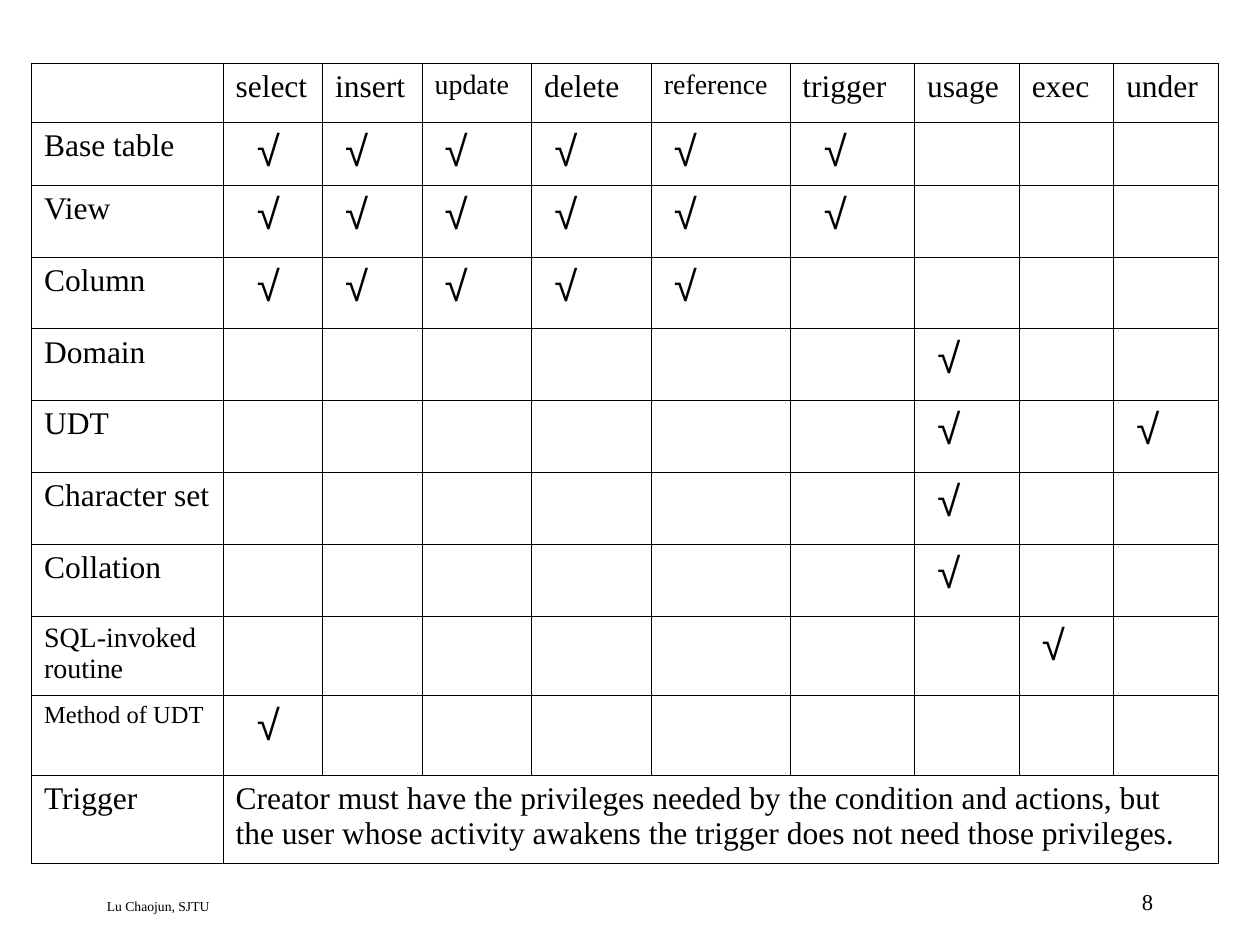
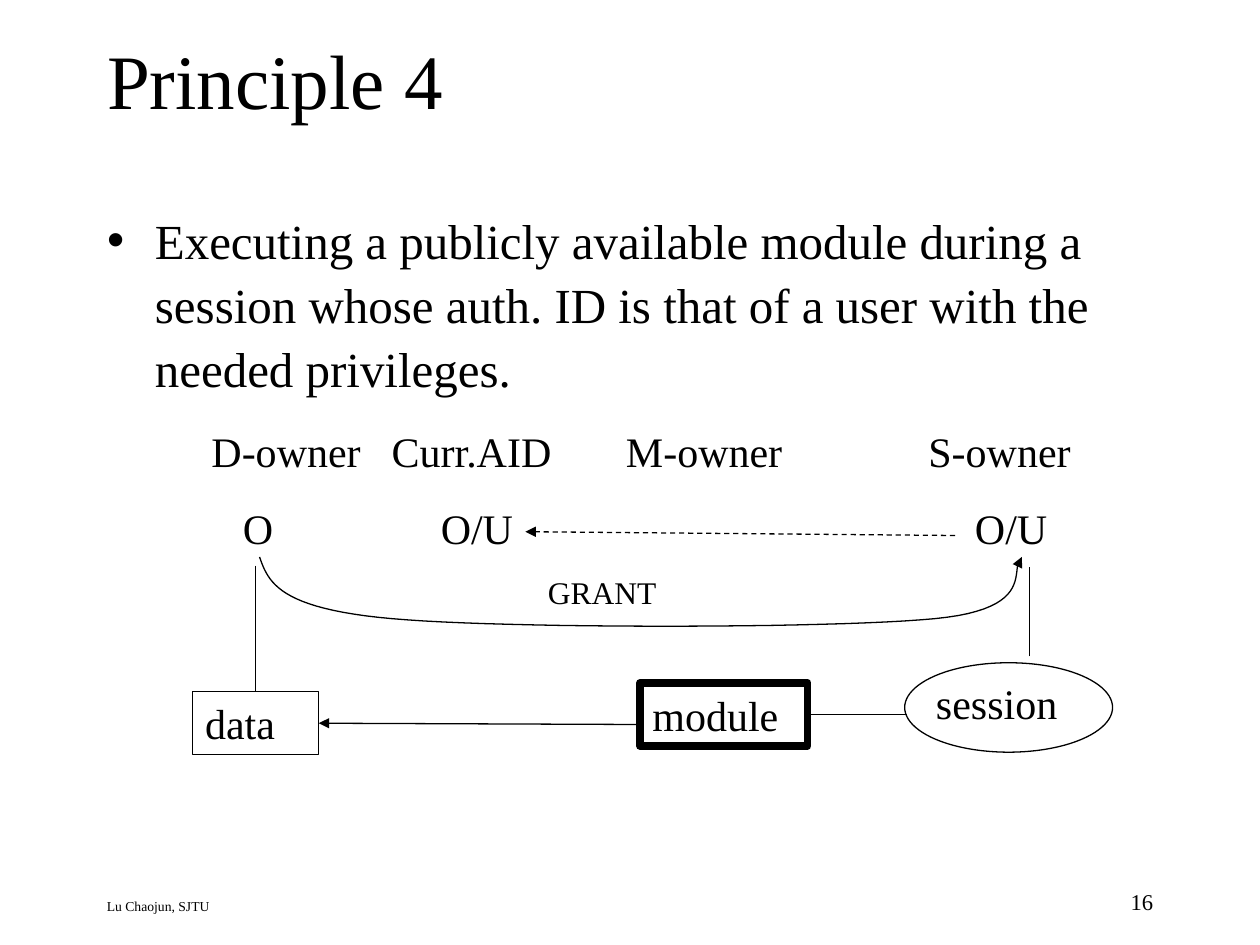
from lxml.etree import SubElement
from pptx import Presentation
from pptx.dml.color import RGBColor
from pptx.enum.dml import MSO_LINE
from pptx.enum.shapes import MSO_CONNECTOR, MSO_SHAPE
from pptx.enum.text import MSO_ANCHOR, PP_ALIGN
from pptx.oxml.ns import qn
from pptx.util import Inches, Pt

COLORS = {"ink": "000000", "paper": "FFFFFF"}
SERIF = "Times New Roman"
SANS = "Arial"
CHECK = "√"
FOOTER = "Lu Chaojun, SJTU"

PRIVILEGES = ["select", "insert", "update", "delete", "reference",
              "trigger", "usage", "exec", "under"]
TABLE_PRIVILEGES = PRIVILEGES[:6]
OBJECTS = [
    ("Base table", TABLE_PRIVILEGES),
    ("View", TABLE_PRIVILEGES),
    ("Column", PRIVILEGES[:5]),
    ("Domain", ["usage"]),
    ("UDT", ["usage", "under"]),
    ("Character set", ["usage"]),
    ("Collation", ["usage"]),
    ("SQL-invoked routine", ["exec"]),
    ("Method of UDT", ["select"]),
]
TRIGGER_RULE = ("Creator must have the privileges needed by the condition and actions, "
                "but the user whose activity awakens the trigger does not need "
                "those privileges.")
LABEL_SIZES = {"update": 16, "reference": 16, "SQL-invoked routine": 16,
               "Method of UDT": 14}
COLUMN_WIDTHS = [1.52, 0.79, 0.79, 0.87, 0.95, 1.1, 0.99, 0.83, 0.75, 0.83]
ROW_HEIGHTS = [0.47, 0.5] + [0.57] * 6 + [0.63, 0.63, 0.7]


def curve_points(start, curves, steps=24):
    points = [start]
    for first, second, end in curves:
        for step in range(1, steps + 1):
            t = step / steps
            weights = ((1 - t) ** 3, 3 * t * (1 - t) ** 2, 3 * t * t * (1 - t), t ** 3)
            corners = (start, first, second, end)
            points.append(tuple(sum(w * corner[axis] for w, corner in zip(weights, corners))
                                for axis in (0, 1)))
        start = end
    return points


class SlideWriter:
    def __init__(self, deck):
        self.deck = deck
        self.page = None

    def color(self, name):
        return RGBColor.from_string(COLORS[name])

    def new_page(self, layout, number):
        self.page = self.deck.slides.add_slide(self.deck.slide_layouts[layout])
        background = self.page.background.fill
        background.solid()
        background.fore_color.rgb = self.color("paper")
        self.text(0.75, 7.08, 5.8, 0.25, [FOOTER], 7.8)
        self.text(7.17, 7, 2.08, 0.33, [str(number)], 12.9, align=PP_ALIGN.RIGHT)

    def span(self, para, words, size, font=SERIF):
        span = para.add_run()
        span.text = words
        span.font.size = Pt(size)
        span.font.name = font
        span.font.color.rgb = self.color("ink")

    def fill_frame(self, frame, lines, size, align=PP_ALIGN.LEFT, gap=0, stops=()):
        frame.word_wrap = True
        frame.vertical_anchor = MSO_ANCHOR.TOP
        for index, words in enumerate(lines):
            para = frame.add_paragraph() if index else frame.paragraphs[0]
            para.alignment = align
            para.space_before = Pt(gap if index else 0)
            if stops:
                self.tabs(para, stops[index])
            self.span(para, words, size)

    def tabs(self, para, positions):
        tab_list = SubElement(para._p.get_or_add_pPr(), qn("a:tabLst"))
        for position in positions:
            SubElement(tab_list, qn("a:tab"), pos=str(Inches(position)), algn="l")

    def text(self, left, top, width, height, lines, size, **style):
        box = self.page.shapes.add_textbox(Inches(left), Inches(top),
                                           Inches(width), Inches(height))
        self.fill_frame(box.text_frame, lines, size, **style)

    def place(self, holder, left, top, width, height):
        holder.left, holder.top = Inches(left), Inches(top)
        holder.width, holder.height = Inches(width), Inches(height)

    def title(self, words):
        holder = self.page.shapes.title
        self.place(holder, 0.75, 0, 8.5, 1.25)
        self.fill_frame(holder.text_frame, [words], 44)
        holder.text_frame.vertical_anchor = MSO_ANCHOR.MIDDLE

    def bullet(self, words):
        holder = self.page.placeholders[1]
        self.place(holder, 0.75, 1.58, 8.5, 2.26)
        self.fill_frame(holder.text_frame, [words], 28)
        para = holder.text_frame.paragraphs[0]
        para.line_spacing = 1.09
        settings = para._p.get_or_add_pPr()
        settings.set("marL", str(Inches(0.38)))
        settings.set("indent", str(-Inches(0.38)))
        SubElement(settings, qn("a:buChar"), char="•")

    def outline(self, shape, weight=0.75, arrow=False, dashed=False):
        shape.line.color.rgb = self.color("ink")
        shape.line.width = Pt(weight)
        if dashed:
            shape.line.dash_style = MSO_LINE.DASH
        if arrow:
            SubElement(shape.element.spPr.find(qn("a:ln")), qn("a:tailEnd"), type="triangle")

    def shape(self, kind, left, top, width, height, words=None, weight=0.75):
        shape = self.page.shapes.add_shape(kind, Inches(left), Inches(top),
                                           Inches(width), Inches(height))
        shape.shadow.inherit = False
        shape.fill.background()
        self.outline(shape, weight)
        if words:
            self.fill_frame(shape.text_frame, [words], 24)

    def line(self, start, end, **style):
        line = self.page.shapes.add_connector(MSO_CONNECTOR.STRAIGHT,
                                              *map(Inches, start + end))
        self.outline(line, **style)
        SubElement(line.element.spPr, qn("a:effectLst"))

    def curved_arrow(self, start, curves):
        points = [(Inches(x), Inches(y)) for x, y in curve_points(start, curves)]
        builder = self.page.shapes.build_freeform(*points[0])
        builder.add_line_segments(points[1:], close=False)
        curve = builder.convert_to_shape()
        curve.shadow.inherit = False
        curve.fill.background()
        self.outline(curve, arrow=True)

    def table(self, left, top, widths, heights):
        frame = self.page.shapes.add_table(len(heights), len(widths), Inches(left), Inches(top),
                                           Inches(sum(widths)), Inches(sum(heights)))
        table = frame.table
        table.first_row = table.horz_banding = False
        for column, width in zip(table.columns, widths):
            column.width = Inches(width)
        for row, height in zip(table.rows, heights):
            row.height = Inches(height)
        for cell in table.iter_cells():
            self.cell_borders(cell)
            cell.fill.background()
        return table

    def cell_borders(self, cell):
        settings = cell._tc.get_or_add_tcPr()
        for side in ("lnL", "lnR", "lnT", "lnB"):
            border = SubElement(settings, qn(f"a:{side}"), w=str(Pt(0.45)))
            fill = SubElement(border, qn("a:solidFill"))
            SubElement(fill, qn("a:srgbClr"), val=COLORS["ink"])

    def cell_text(self, cell, words, size=18, font=SERIF, left=0.1):
        cell.margin_left = Inches(left)
        self.span(cell.text_frame.paragraphs[0], words, size, font)


def privileges_page(writer):
    writer.new_page(6, 8)
    table = writer.table(0.25, 0.5, COLUMN_WIDTHS, ROW_HEIGHTS)
    for column, privilege in enumerate(PRIVILEGES, 1):
        writer.cell_text(table.cell(0, column), privilege, LABEL_SIZES.get(privilege, 18))
    for row, (name, granted) in enumerate(OBJECTS, 1):
        writer.cell_text(table.cell(row, 0), name, LABEL_SIZES.get(name, 18))
        for privilege in granted:
            cell = table.cell(row, PRIVILEGES.index(privilege) + 1)
            left = 0.27 if privilege in ("select", "trigger") else 0.18
            writer.cell_text(cell, CHECK, 24, SANS, left)
    last = len(ROW_HEIGHTS) - 1
    writer.cell_text(table.cell(last, 0), "Trigger")
    table.cell(last, 1).merge(table.cell(last, len(PRIVILEGES)))
    writer.cell_text(table.cell(last, 1), TRIGGER_RULE)


def principle_page(writer):
    writer.new_page(1, 16)
    writer.title("Principle 4")
    writer.bullet("Executing a publicly available module during a session whose "
                  "auth. ID is that of a user with the needed privileges.")
    writer.text(1.58, 3.33, 7.33, 1.11,
                ["D-owner\tCurr.AID\tM-owner\tS-owner", "\tO\tO/U\tO/U"], 24, gap=15,
                stops=[(1.43, 3.29, 5.69), (0.25, 1.82, 6.06)])
    writer.shape(MSO_SHAPE.RECTANGLE, 1.53, 5.49, 1, 0.5, "data")
    writer.line((2.03, 4.49), (2.03, 5.49))
    writer.line((7.58, 4.25), (4.17, 4.22), arrow=True, dashed=True)
    writer.shape(MSO_SHAPE.RECTANGLE, 5.08, 5.42, 1.33, 0.5, "module", weight=4.5)
    writer.line((5.08, 5.75), (2.53, 5.74), arrow=True)
    writer.text(4.25, 4.5, 1.17, 0.4, ["GRANT"], 18)
    writer.shape(MSO_SHAPE.OVAL, 7.18, 5.26, 1.65, 0.71)
    writer.text(7.33, 5.33, 1.42, 0.5, ["session"], 24)
    writer.line((8.17, 5.21), (8.17, 4.5))
    writer.line((6.42, 5.67), (7.2, 5.67))
    writer.curved_arrow((2.06, 4.42), [
        ((2.13, 4.62), (2.21, 4.83), (3.11, 4.91)),
        ((4, 4.99), (6.58, 4.99), (7.42, 4.91)),
        ((8.25, 4.83), (8, 4.5), (8.11, 4.42)),
    ])


def main():
    deck = Presentation()
    deck.slide_width, deck.slide_height = Inches(10), Inches(7.5)
    writer = SlideWriter(deck)
    privileges_page(writer)
    principle_page(writer)
    deck.save("out.pptx")


if __name__ == "__main__":
    main()
